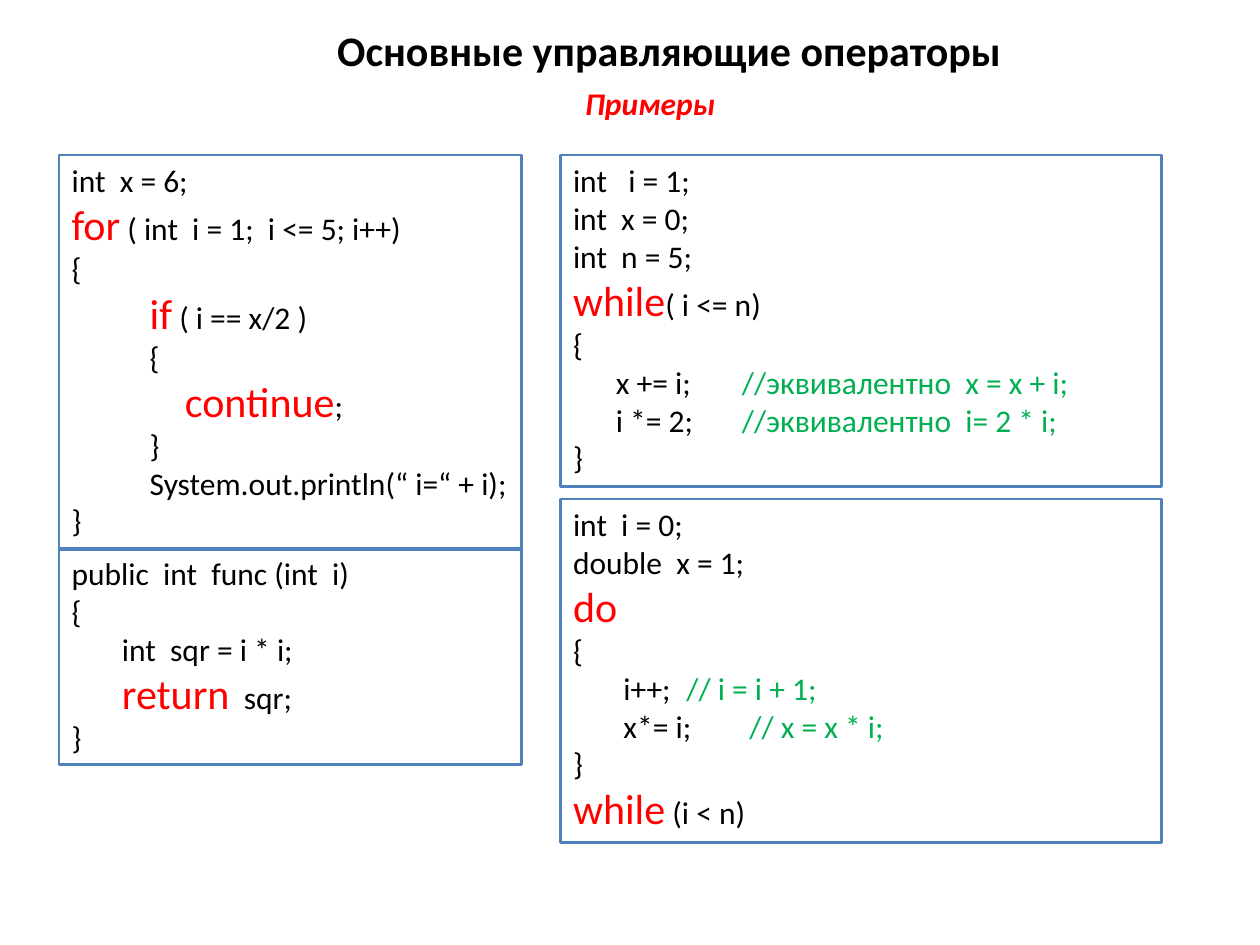
from dataclasses import dataclass

from lxml import etree
from pptx import Presentation
from pptx import util as u
from pptx.dml.color import RGBColor
from pptx.enum import shapes, text
from pptx.oxml.ns import qn


@dataclass(frozen=True)
class Theme:
    font: str = "Calibri"
    ink: str = "000000"
    accent: str = "FF0000"
    comment: str = "00B050"
    border: str = "4F81BD"
    border_width: float = 1.5
    large: int = 24
    body: int = 18


@dataclass(frozen=True)
class CodeLine:
    """One line of code: keyword, code, then a comment at the tab stop."""
    code: str = ""
    keyword: str = ""
    comment: str = ""
    indent: float = 0


THEME = Theme()
TOP = 1.23
LEFT_COLUMN = (0.47, 3.67)
RIGHT_COLUMN = (4.45, 4.77)
COMMENT_TAB = 1.05

FOR_EXAMPLE = [
    CodeLine("int  x = 6;"),
    CodeLine(" ( int  i = 1;  i <= 5; i++)", keyword="for"),
    CodeLine("{"),
    CodeLine(" ( i == x/2 )", keyword="if", indent=0.62),
    CodeLine("{", indent=0.62),
    CodeLine(";", keyword="continue", indent=0.9),
    CodeLine("}", indent=0.62),
    CodeLine("System.out.println(“ i=“ + i);", indent=0.62),
    CodeLine("}"),
]
RETURN_EXAMPLE = [
    CodeLine("public  int  func (int  i)"),
    CodeLine("{"),
    CodeLine("int  sqr = i * i;", indent=0.4),
    CodeLine("  sqr;", keyword="return", indent=0.4),
    CodeLine("}"),
]
WHILE_EXAMPLE = [
    CodeLine("int   i = 1;"),
    CodeLine("int  x = 0;"),
    CodeLine("int  n = 5;"),
    CodeLine("( i <= n)", keyword="while"),
    CodeLine("{"),
    CodeLine("x += i;", comment="//эквивалентно  x = x + i;", indent=0.34),
    CodeLine("i *= 2;", comment="//эквивалентно  i= 2 * i;", indent=0.34),
    CodeLine("}"),
]
DO_EXAMPLE = [
    CodeLine("int  i = 0;"),
    CodeLine("double  x = 1;"),
    CodeLine(keyword="do"),
    CodeLine("{"),
    CodeLine("i++;", comment="// i = i + 1;", indent=0.4),
    CodeLine("x*= i;", comment="// x = x * i;", indent=0.4),
    CodeLine("}"),
    CodeLine(" (i < n)", keyword="while"),
]


def format_run(run, size, color, bold=False, italic=False):
    font = run.font
    font.name = THEME.font
    font.size = u.Pt(size)
    font.color.rgb = RGBColor.from_string(color)
    font.bold = bold
    font.italic = italic


def set_heading(shape, content, size, color, italic=False):
    shape.text_frame.word_wrap = True
    shape.text_frame.text = content
    paragraph = shape.text_frame.paragraphs[0]
    paragraph.alignment = text.PP_ALIGN.CENTER
    format_run(paragraph.runs[0], size, color, bold=True, italic=italic)


def add_title(slide):
    title = slide.shapes.title
    title.left, title.top = u.Inches(2.34), u.Inches(0.16)
    title.width, title.height = u.Inches(5.94), u.Inches(0.47)
    set_heading(title, "Основные управляющие операторы", THEME.large, THEME.ink)
    title.text_frame.auto_size = text.MSO_AUTO_SIZE.NONE
    title.text_frame.vertical_anchor = text.MSO_ANCHOR.MIDDLE


def add_subtitle(slide):
    subtitle = slide.shapes.add_textbox(
        u.Inches(3.44), u.Inches(0.62), u.Inches(3.44), u.Inches(0.4))
    set_heading(subtitle, "Примеры", THEME.body, THEME.accent, italic=True)


def set_indent(paragraph, indent, tab=None):
    """Set the left indent and an optional tab stop, both in inches."""
    properties = paragraph._p.get_or_add_pPr()
    properties.set("marL", str(u.Inches(indent)))
    properties.set("indent", "0")
    if tab is not None:
        tabs = etree.SubElement(properties, qn("a:tabLst"))
        etree.SubElement(tabs, qn("a:tab"), pos=str(u.Inches(tab)), algn="l")


def write_code_line(paragraph, line):
    paragraph.alignment = text.PP_ALIGN.LEFT
    set_indent(paragraph, line.indent, COMMENT_TAB if line.comment else None)
    code = line.code + "\t" if line.comment else line.code
    parts = [
        (line.keyword, THEME.large, THEME.accent),
        (code, THEME.body, THEME.ink),
        (line.comment, THEME.body, THEME.comment),
    ]
    for content, size, color in parts:
        if content:
            run = paragraph.add_run()
            run.text = content
            format_run(run, size, color)


def add_code_box(slide, column, top, height, lines):
    left, width = column
    box = slide.shapes.add_shape(
        shapes.MSO_SHAPE.RECTANGLE,
        u.Inches(left), u.Inches(top), u.Inches(width), u.Inches(height))
    box.shadow.inherit = False
    box.fill.background()
    box.line.color.rgb = RGBColor.from_string(THEME.border)
    box.line.width = u.Pt(THEME.border_width)
    frame = box.text_frame
    frame.word_wrap = True
    frame.auto_size = text.MSO_AUTO_SIZE.SHAPE_TO_FIT_TEXT
    frame.vertical_anchor = text.MSO_ANCHOR.TOP
    for index, line in enumerate(lines):
        paragraph = frame.add_paragraph() if index else frame.paragraphs[0]
        write_code_line(paragraph, line)


def main():
    presentation = Presentation()
    presentation.slide_width = u.Inches(10)
    presentation.slide_height = u.Inches(7.5)
    slide = presentation.slides.add_slide(presentation.slide_layouts[5])
    add_title(slide)
    add_subtitle(slide)
    add_code_box(slide, RIGHT_COLUMN, TOP, 2.63, WHILE_EXAMPLE)
    add_code_box(slide, RIGHT_COLUMN, 3.96, 2.73, DO_EXAMPLE)
    add_code_box(slide, LEFT_COLUMN, TOP, 3.13, FOR_EXAMPLE)
    add_code_box(slide, LEFT_COLUMN, 4.35, 1.72, RETURN_EXAMPLE)
    presentation.save("out.pptx")


if __name__ == "__main__":
    main()
